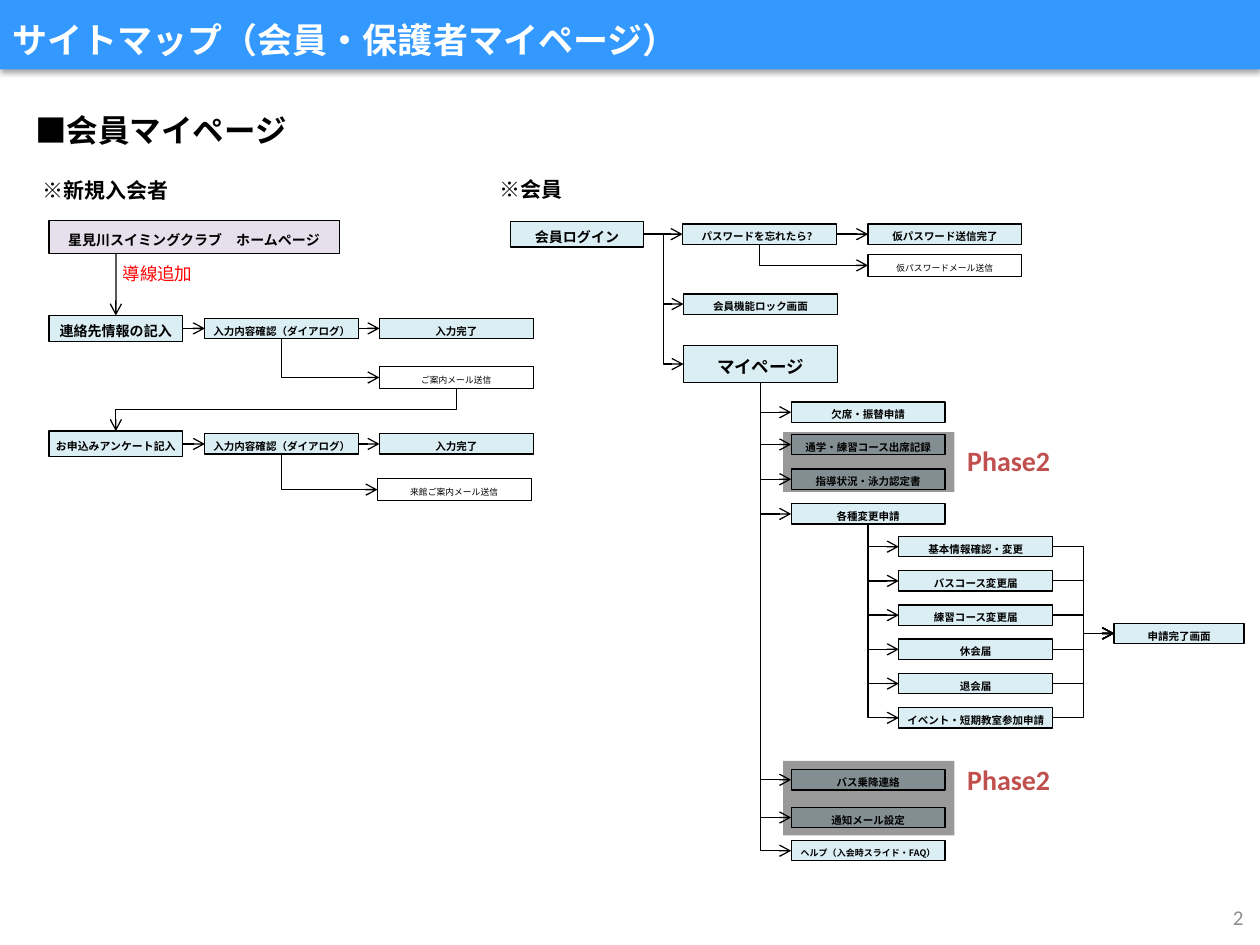
"""Builds the site map slide for the member and guardian pages."""
from lxml.etree import SubElement
from pptx import Presentation
from pptx.dml.color import RGBColor
from pptx.enum.shapes import MSO_CONNECTOR as Link, MSO_SHAPE as Preset
from pptx.enum.text import MSO_ANCHOR as Anchor, MSO_AUTO_SIZE as AutoSize, PP_ALIGN as Align
from pptx.oxml.ns import qn
from pptx.util import Cm, Pt

BLACK = RGBColor(0x00, 0x00, 0x00)
WHITE = RGBColor(0xFF, 0xFF, 0xFF)
RED = RGBColor(0xFF, 0x00, 0x00)
GREY = RGBColor(0x8C, 0x8C, 0x8C)
BRICK = RGBColor(0xC0, 0x50, 0x4D)
BLUE = RGBColor(0x33, 0x99, 0xFF)
PALE_BLUE = RGBColor(0xDB, 0xEE, 0xF4)
PALE_PURPLE = RGBColor(0xE6, 0xE0, 0xEC)
JAPANESE = "Noto Sans CJK JP"
TOP, LEFT, BOTTOM, RIGHT = range(4)
PAGE_WIDTH = 3.1


def write(shape, text, size=6, color=BLACK, bold=True, font=JAPANESE, align=Align.CENTER):
    paragraph = shape.text_frame.paragraphs[0]
    paragraph.alignment = align
    run = paragraph.add_run()
    run.text = text
    run.font.size, run.font.bold, run.font.name = Pt(size), bold, font
    run.font.color.rgb = color
    SubElement(run.font._element, qn("a:ea"), typeface=font)


class SiteMap:
    def __init__(self, slide):
        self.slide = slide
        self.line_width = Pt(0.75)

    def rectangle(self, left, top, width, height, fill):
        shape = self.slide.shapes.add_shape(
            Preset.RECTANGLE, Cm(left), Cm(top), Cm(width), Cm(height))
        shape.shadow.inherit = False
        shape.fill.solid()
        shape.fill.fore_color.rgb = fill
        shape.line.fill.background()
        return shape

    def title(self, text):
        shape = self.rectangle(0, 0, 25.4, 1.4, BLUE)
        effects = shape._element.spPr.find(qn("a:effectLst"))
        shadow = SubElement(effects, qn("a:outerShdw"), blurRad="40000", dist="23000",
                            dir="5400000", rotWithShape="0")
        shade = SubElement(shadow, qn("a:srgbClr"), val="000000")
        SubElement(shade, qn("a:alpha"), val="35000")
        frame = shape.text_frame
        frame.vertical_anchor = Anchor.MIDDLE
        frame.margin_top, frame.margin_bottom = Cm(0.2), 0
        write(shape, text, size=20, color=WHITE, align=Align.LEFT)

    def page(self, text, left, middle, width=PAGE_WIDTH, height=0.41, fill=PALE_BLUE, **style):
        shape = self.rectangle(left, middle - height / 2, width, height, fill)
        shape.line.color.rgb = BLACK
        shape.line.width = self.line_width
        frame = shape.text_frame
        frame.word_wrap = True
        frame.vertical_anchor = Anchor.MIDDLE
        frame.margin_left = frame.margin_right = frame.margin_bottom = 0
        frame.margin_top = Cm(0.1)
        write(shape, text, **style)
        return shape

    def mail(self, text, left, middle):
        return self.page(text, left, middle, height=0.44, fill=WHITE, size=5, bold=False)

    def label(self, text, left, top, width, height, wrap=False, **style):
        shape = self.slide.shapes.add_textbox(Cm(left), Cm(top), Cm(width), Cm(height))
        shape.text_frame.word_wrap = wrap
        shape.text_frame.auto_size = AutoSize.NONE if wrap else AutoSize.SHAPE_TO_FIT_TEXT
        write(shape, text, **style)
        return shape

    def shade(self, left, top, width, height):
        shape = self.rectangle(left, top, width, height, BLACK)
        color = shape._element.spPr.find(qn("a:solidFill"))[0]
        SubElement(color, qn("a:alpha"), val="40000")

    def connector(self, kind):
        connector = self.slide.shapes.add_connector(kind, 0, 0, 0, 0)
        connector.line.color.rgb = BLACK
        connector.line.width = self.line_width
        properties = connector._element.spPr
        SubElement(properties.find(qn("a:ln")), qn("a:tailEnd"), type="arrow")
        SubElement(properties, qn("a:effectLst"))
        return connector

    def arrow(self, begin, end):
        connector = self.connector(Link.STRAIGHT)
        connector.begin_connect(begin, RIGHT)
        connector.end_connect(end, LEFT)

    def arrow_down(self, x, y, end):
        connector = self.connector(Link.STRAIGHT)
        connector.begin_x, connector.begin_y = Cm(x), Cm(y)
        connector.end_connect(end, TOP)

    def elbow(self, begin, end, begin_site=RIGHT, end_site=LEFT):
        connector = self.connector(Link.ELBOW)
        connector.begin_connect(begin, begin_site)
        connector.end_connect(end, end_site)
        if begin_site == BOTTOM:
            self.turn(connector, end_site)

    def turn(self, connector, end_site):
        left, top = connector.left, connector.top
        width, height = connector.width, connector.height
        properties = connector._element.spPr
        frame = properties.find(qn("a:xfrm"))
        frame.attrib.clear()
        if end_site == LEFT:
            frame.set("rot", "16200000")
            frame.set("flipH", "1")
            properties.find(qn("a:prstGeom")).set("prst", "bentConnector2")
        else:
            frame.set("rot", "5400000")
        offset, extent = frame.find(qn("a:off")), frame.find(qn("a:ext"))
        offset.set("x", str(left + (width - height) // 2))
        offset.set("y", str(top + (height - width) // 2))
        extent.set("cx", str(height))
        extent.set("cy", str(width))

    def branch(self, begin, end):
        self.elbow(begin, end, BOTTOM, LEFT)

    def entry(self, text, middle, size, mail_text, mail_left, mail_middle):
        first = self.page(text, 0.99, middle, 2.69, 0.52, size=size)
        confirm = self.page("入力内容確認（ダイアログ）", 4.13, middle)
        done = self.page("入力完了", 7.65, middle)
        mail = self.mail(mail_text, mail_left, mail_middle)
        self.arrow(first, confirm)
        self.arrow(confirm, done)
        self.branch(confirm, mail)
        return first, mail


def draw_newcomer(site):
    site.label("※新規入会者", 0.61, 3.45, 3.07, 0.77, size=12, align=Align.LEFT)
    site.page("星見川スイミングクラブ　ホームページ", 0.99, 4.78, 5.85, 0.67, PALE_PURPLE, size=8)
    contact, guide_mail = site.entry("連絡先情報の記入", 6.62, 8, "ご案内メール送信", 7.65, 7.61)
    survey, _ = site.entry("お申込みアンケート記入", 8.95, 6.2, "来館ご案内メール送信", 7.61, 9.87)
    site.arrow_down(2.34, 5.12, contact)
    site.elbow(guide_mail, survey, BOTTOM, TOP)
    site.label("導線追加", 2.21, 5.18, 1.93, 0.69, size=10, color=RED, bold=False)


def draw_login(site):
    site.label("※会員", 9.83, 3.43, 1.8, 0.77, size=12, align=Align.LEFT)
    login = site.page("会員ログイン", 10.29, 4.72, 2.69, 0.52, size=8)
    forgotten = site.page("パスワードを忘れたら？", 13.76, 4.72)
    sent = site.page("仮パスワード送信完了", 17.5, 4.72)
    mail = site.mail("仮パスワードメール送信", 17.5, 5.35)
    lock = site.page("会員機能ロック画面", 13.78, 6.13)
    my_page = site.page("マイページ", 13.78, 7.34, height=0.75, size=10)
    site.arrow(login, forgotten)
    site.arrow(forgotten, sent)
    site.branch(forgotten, mail)
    site.elbow(login, lock)
    site.elbow(login, my_page)
    return my_page


def draw_menu(site, my_page):
    menu = [("欠席・振替申請", 8.31, 6), ("通学・練習コース出席記録", 8.96, 6),
            ("指導状況・泳力認定書", 9.66, 6), ("各種変更申請", 10.36, 6),
            ("バス乗降連絡", 15.72, 6), ("通知メール設定", 16.48, 6),
            ("ヘルプ（入会時スライド・FAQ）", 17.15, 5.1)]
    pages = {}
    for text, middle, size in menu:
        pages[text] = site.page(text, 15.95, middle, size=size)
        site.branch(my_page, pages[text])
    for top, height, label_top in [(8.71, 1.21, 8.81), (15.34, 1.5, 15.25)]:
        site.shade(15.79, top, 3.45, height)
        site.label("Phase2", 19.23, label_top, 2.21, 0.94, size=16, color=BRICK, font="Calibri")
    return pages["各種変更申請"]


def draw_changes(site, changes):
    complete = site.page("申請完了画面", 22.46, 12.77, 2.62)
    forms = ["基本情報確認・変更", "バスコース変更届", "練習コース変更届", "休会届", "退会届",
             "イベント・短期教室参加申請"]
    for row, text in enumerate(forms):
        form = site.page(text, 18.12, 11.02 + 0.69 * row)
        site.branch(changes, form)
        site.elbow(form, complete)


def main():
    presentation = Presentation()
    presentation.slide_width, presentation.slide_height = Cm(25.4), Cm(19.05)
    site = SiteMap(presentation.slides.add_slide(presentation.slide_layouts[6]))
    site.title("サイトマップ（会員・保護者マイページ）")
    site.label("■会員マイページ", 0.46, 2.11, 5.64, 1.02, size=18, align=Align.LEFT)
    draw_newcomer(site)
    draw_changes(site, draw_menu(site, draw_login(site)))
    number = site.label("2", 22.33, 17.98, 2.99, 1.02, wrap=True, size=12, color=GREY,
                        bold=False, font="Calibri", align=Align.RIGHT)
    number.text_frame.vertical_anchor = Anchor.MIDDLE
    presentation.save("out.pptx")


if __name__ == "__main__":
    main()
